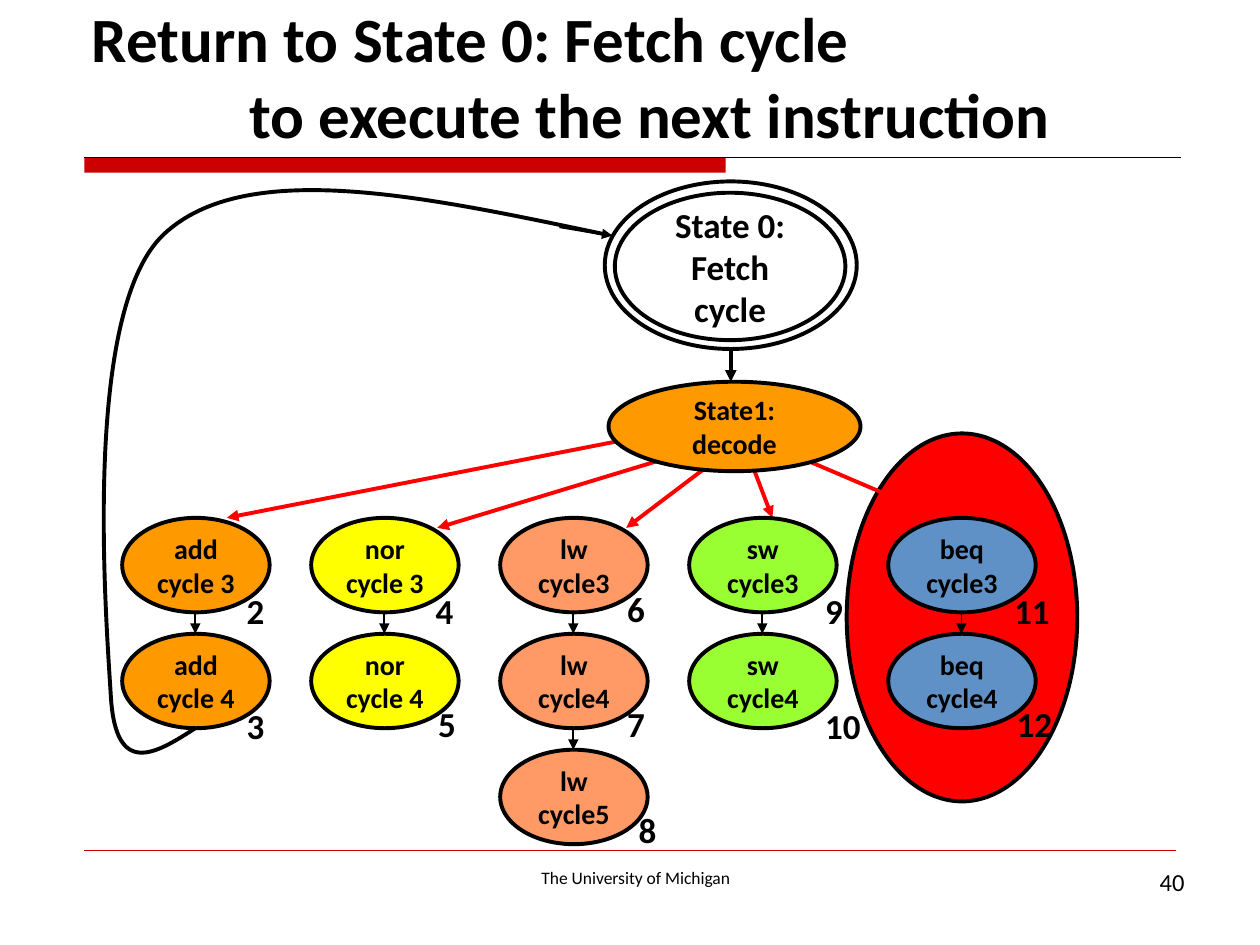
from lxml.etree import SubElement
from pptx import Presentation
from pptx.dml.color import RGBColor
from pptx.enum.shapes import MSO_CONNECTOR, MSO_SHAPE
from pptx.enum.text import MSO_ANCHOR, MSO_AUTO_SIZE, PP_ALIGN
from pptx.oxml.ns import qn
from pptx.util import Pt

PX = 9144  # 100 px to the inch
FONT = "Calibri"
COLORS = {
    "black": "000000", "bar": "CC0000", "red": "FF0000", "orange": "FF9900",
    "yellow": "FFFF00", "salmon": "FF9966", "green": "99FF33", "blue": "5F91C7",
}
OVAL_WIDTH, OVAL_HEIGHT, ROW_STEP = 117, 75, 92

# left edge, instruction, fill, cycle labels, (state number, dx, dy) per oval
COLUMNS = [
    (97, "add", "orange", ["cycle 3", "cycle 4"], [(2, 89, 52), (3, 89, 51)]),
    (247, "nor", "yellow", ["cycle 3", "cycle 4"], [(4, 89, 52), (5, 91, 50)]),
    (397, "lw", "salmon", ["cycle3", "cycle4", "cycle5"],
     [(6, 91, 50), (7, 91, 50), (8, 100, 42)]),
    (547, "sw", "green", ["cycle3", "cycle4"], [(9, 98, 52), (10, 98, 51)]),
    (705, "beq", "blue", ["cycle3", "cycle4"], [(11, 90, 52), (12, 92, 50)]),
]
DECODE_ARROWS = [
    (522, 344, 180, 411), (538, 361, 347, 419), (563, 369, 497, 419),
    (597, 369, 613, 411), (630, 361, 747, 411),
]


def emu(*lengths):
    return [length * PX for length in lengths]


def color(name):
    return RGBColor.from_string(COLORS[name])


def write(box, *lines, size, bold=False, align=PP_ALIGN.LEFT,
          anchor=MSO_ANCHOR.TOP, wrap=True, inset=10):
    """Put one paragraph per line into the box."""
    frame = box.text_frame
    frame.auto_size = MSO_AUTO_SIZE.NONE
    frame.word_wrap = wrap
    frame.vertical_anchor = anchor
    frame.margin_left = frame.margin_right = inset * PX
    frame.margin_top = frame.margin_bottom = inset * PX // 2
    for index, line in enumerate(lines):
        para = frame.add_paragraph() if index else frame.paragraphs[0]
        para.text = line
        para.alignment = align
        for span in para.runs:
            span.font.name = FONT
            span.font.size = Pt(size)
            span.font.bold = bold
            span.font.color.rgb = color("black")


def add_label(page, left, top, width, height, text, **style):
    write(page.shapes.add_textbox(*emu(left, top, width, height)), text, **style)


def add_line(page, x1, y1, x2, y2, name="black", weight=2.25, arrow=True):
    line = page.shapes.add_connector(MSO_CONNECTOR.STRAIGHT, *emu(x1, y1, x2, y2))
    line.line.color.rgb = color(name)
    line.line.width = Pt(weight)
    if arrow:
        SubElement(line.line._get_or_add_ln(), qn("a:tailEnd"), type="triangle")
    SubElement(line._element.spPr, qn("a:effectLst"))


def style_outline(shape, fill=None):
    shape.shadow.inherit = False
    shape.line.color.rgb = color("black")
    shape.line.width = Pt(2.25)
    if fill:
        shape.fill.solid()
        shape.fill.fore_color.rgb = color(fill)
    else:
        shape.fill.background()


def add_oval(page, left, top, width, height, *lines, fill=None, size=16, inset=0):
    oval = page.shapes.add_shape(MSO_SHAPE.OVAL, *emu(left, top, width, height))
    style_outline(oval, fill)
    if lines:
        write(oval, *lines, size=size, bold=True, align=PP_ALIGN.CENTER,
              anchor=MSO_ANCHOR.MIDDLE, inset=inset)


def add_curve(page, start, points):
    """Draw cubic Bézier pieces, each given by two handles and an end point."""
    builder = page.shapes.build_freeform(*emu(*start))
    builder.add_line_segments([emu(*point) for point in points], close=False)
    curve = builder.convert_to_shape()
    style_outline(curve)
    steps = curve._element.findall(".//" + qn("a:lnTo"))
    for index in range(0, len(steps), 3):
        outline = steps[index].getparent()
        bezier = SubElement(outline, qn("a:cubicBezTo"))
        for step in steps[index:index + 3]:
            bezier.append(step[0])
            outline.remove(step)


def add_header(page, left, top, width):
    bar = page.shapes.add_shape(MSO_SHAPE.RECTANGLE, *emu(left, top, 509, 12))
    bar.shadow.inherit = False
    bar.fill.solid()
    bar.fill.fore_color.rgb = color("bar")
    bar.line.fill.background()
    add_line(page, left, top, left + width, top, weight=0.75, arrow=False)

    title = page.shapes.title
    title.left, title.top, title.width, title.height = emu(left - 4, top - 92, 875, 92)
    write(title, "Return to State 0: Fetch cycle\vto execute the next instruction",
          size=36, bold=True, anchor=MSO_ANCHOR.BOTTOM)
    hanging = title.text_frame.paragraphs[0]._p.get_or_add_pPr()
    hanging.set("marL", str(125 * PX))
    hanging.set("indent", str(-125 * PX))


def add_footer(page, left, top, width):
    add_line(page, left, top, left + width, top, "bar", 0.25, arrow=False)
    add_label(page, left + 250, top + 8, 375, 27, "The University of Michigan",
              size=10, align=PP_ALIGN.CENTER)
    add_label(page, left + 650, top + 8, 233, 52, "40", size=14, align=PP_ALIGN.RIGHT)


def add_fetch_state(page, left, top, width, height):
    add_oval(page, left + 8, top + 9, width - 17, height - 16,
             "State 0:", "Fetch cycle", size=20, inset=10)
    add_oval(page, left, top, width, height)
    middle, bottom = left + width // 2, top + height
    add_line(page, middle, bottom + 1, middle, bottom + 26)


def add_instruction(page, left, top, name, fill, cycles, numbers):
    """Stack the ovals of one instruction, joined by arrows and numbered."""
    middle = left + OVAL_WIDTH // 2
    tops = [top + row * ROW_STEP for row in range(len(cycles))]
    for oval_top, cycle in zip(tops, cycles):
        add_oval(page, left, oval_top, OVAL_WIDTH, OVAL_HEIGHT, name, cycle, fill=fill)
    for oval_top in tops[1:]:
        add_line(page, middle, oval_top - ROW_STEP + OVAL_HEIGHT, middle, oval_top,
                 weight=1)
    for oval_top, (number, dx, dy) in zip(tops, numbers):
        add_label(page, left + dx, oval_top + dy, 34 if number < 10 else 49, 44,
                  str(number), size=20, bold=True, wrap=False)


def add_return_path(page):
    add_curve(page, (155, 578), [
        (124, 598), (92, 618), (88, 553),
        (84, 487), (65, 247), (130, 186),
        (195, 125), (337, 156), (480, 186),
    ])
    add_line(page, 444, 180, 486, 187, weight=1.5)


def main():
    deck = Presentation()
    deck.slide_width, deck.slide_height = emu(1000, 750)
    page = deck.slides.add_slide(deck.slide_layouts[5])

    add_header(page, 67, 125, 870)
    add_footer(page, 67, 675, 866)
    add_oval(page, 672, 344, 183, 292, fill="red")
    add_fetch_state(page, 480, 144, 200, 133)
    for ends in DECODE_ARROWS:
        add_line(page, *ends, "red")
    for left, *instruction in COLUMNS:
        add_instruction(page, left, 411, *instruction)
    add_oval(page, 483, 303, 200, 71, "State1:", "decode", fill="orange")
    add_return_path(page)
    deck.save("out.pptx")


if __name__ == "__main__":
    main()
